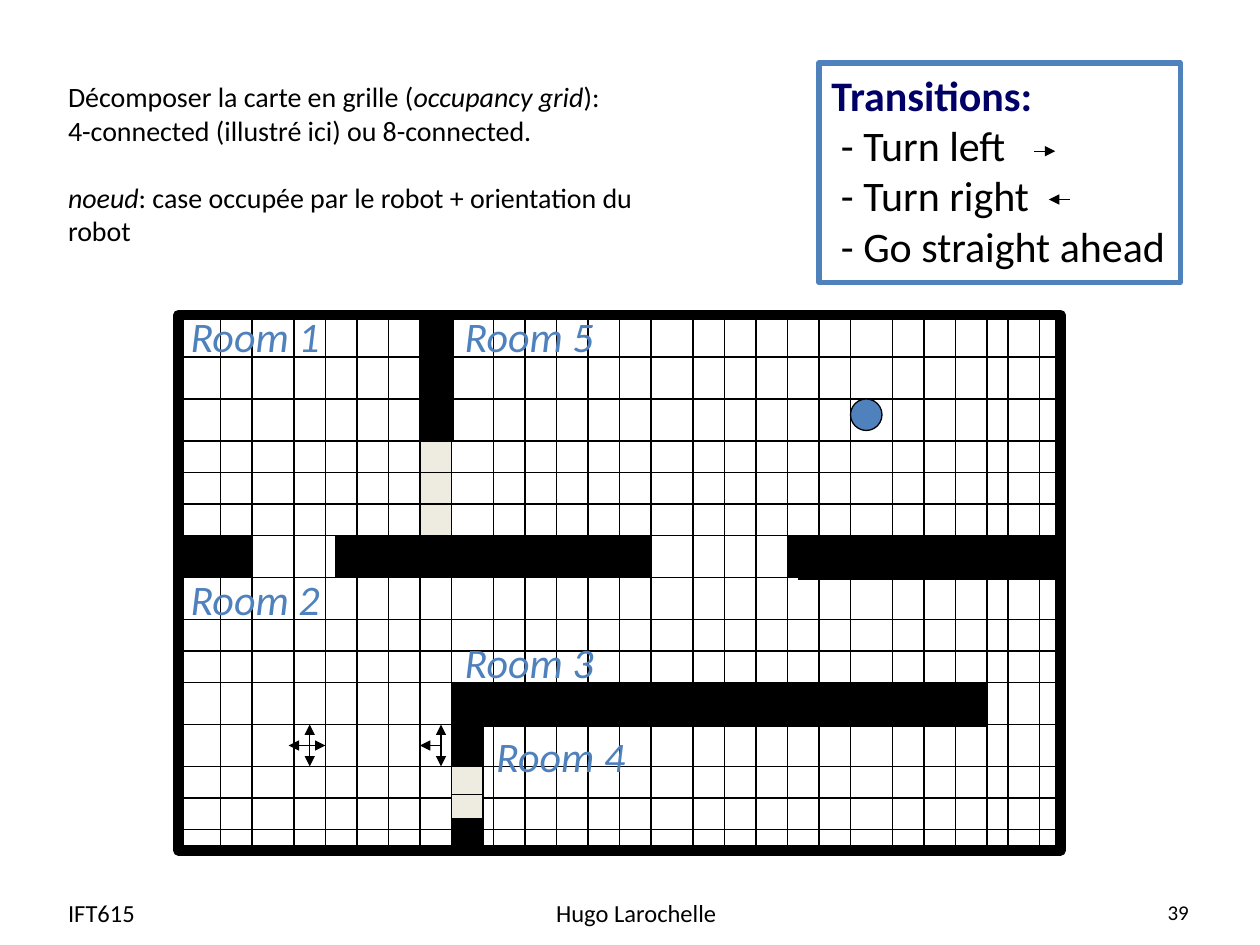
from itertools import accumulate

from lxml.etree import SubElement
from pptx import Presentation
from pptx.dml.color import RGBColor
from pptx.enum.shapes import MSO_CONNECTOR, MSO_SHAPE as Shape
from pptx.enum.text import MSO_ANCHOR as Anchor, MSO_AUTO_SIZE as AutoSize, PP_ALIGN as Align
from pptx.oxml.ns import qn
from pptx.util import Emu, Pt

PX = 7620
BLACK = RGBColor(0x00, 0x00, 0x00)
NAVY = RGBColor(0x00, 0x00, 0x66)
BLUE = RGBColor(0x4F, 0x81, 0xBD)
CREAM = RGBColor(0xEE, 0xEC, 0xE1)

LEFT, TOP, RIGHT, BOTTOM = 170, 300, 1010, 810
COLUMNS = [40, 30, 40, 30, 30, 30, 30, 30, 40, 30, 30, 30, 30,
           30, 40, 30, 30, 30, 30, 30, 40, 30, 30, 30, 20, 30]
ROWS = [40, 40, 40, 30, 30, 30, 40, 40, 30, 30, 40, 40, 30, 30]
THICK_WALLS = [(430, 300, 430, 420), (1010, 550, 760, 550), (430, 690, 940, 690)]
WALL_ROWS = [
    (170, 510, [40, 30]),
    (320, 510, [30, 40, 40, 30, 40, 40, 30, 50]),
    (750, 510, [40, 30, 40, 40, 30, 40, 40]),
    (430, 650, [40, 30, 40, 40, 30, 40, 40, 30, 40, 40, 30, 50, 60]),
]
WALL_COLUMN = [(400, TOP + 40 * step, 30, 40) for step in range(3)]
WALL_ENDS = [(430, 690, 30, 40), (430, 780, 30, 30)]
DOORS = [(400, 420, 30, 40), (400, 450, 30, 40), (400, 480, 30, 30),
         (430, 730, 30, 30), (430, 757, 30, 23)]
DOWN, UP, WEST, EAST = (0, -10, 0, 20), (0, 0, 0, -20), (0, 0, -20, 0), (0, 0, 15, 0)
ROBOT_MOVES = [(420, 710, [DOWN, UP, WEST]), (295, 710, [DOWN, UP, WEST, EAST])]
ROOMS = [("Room 1", 164, 290), ("Room 5", 425, 290), ("Room 2", 164, 540),
         ("Room 4", 455, 690), ("Room 3", 425, 600)]


class Board:
    """Draws styled elements on the current slide or group."""

    font = "Calibri"
    hairline = 0.75

    def __init__(self, slide):
        self.slide = slide
        self.target = slide.shapes

    def start_group(self):
        self.target = self.slide.shapes.add_group_shape().shapes

    def end_group(self):
        self.target = self.slide.shapes

    def scale(self, *lengths):
        return [Emu(length * PX) for length in lengths]

    def shape(self, kind, box, fill=None, line=BLACK, weight=hairline):
        item = self.target.add_shape(kind, *self.scale(*box))
        item.shadow.inherit = False
        if fill is None:
            item.fill.background()
        else:
            item.fill.solid()
            item.fill.fore_color.rgb = fill
        item.line.color.rgb = line
        item.line.width = Pt(weight)
        return item

    def line(self, ends, weight=hairline, arrow=False):
        item = self.target.add_connector(MSO_CONNECTOR.STRAIGHT, *self.scale(*ends))
        item.line.color.rgb = BLACK
        item.line.width = Pt(weight)
        properties = item._element.spPr
        if arrow:
            SubElement(properties.find(qn("a:ln")), qn("a:tailEnd"), type="triangle")
        SubElement(properties, qn("a:effectLst"))
        return item

    def fill_text(self, frame, paragraphs, size, color=BLACK, align=Align.LEFT, gaps=None, **frame_format):
        for name, value in frame_format.items():
            setattr(frame, name, value)
        for index, runs in enumerate(paragraphs):
            paragraph = frame.paragraphs[0] if index == 0 else frame.add_paragraph()
            paragraph.alignment = align
            paragraph.space_before = Pt((gaps or {}).get(index, 0))
            for words, changes in runs:
                run = paragraph.add_run()
                run.text = words
                look = {"name": self.font, "size": Pt(size), "bold": False, "italic": False}
                look.update(changes)
                run.font.color.rgb = look.pop("color", color)
                for name, value in look.items():
                    setattr(run.font, name, value)

    def text(self, box, paragraphs, size, **format_values):
        frame = self.target.add_textbox(*self.scale(*box)).text_frame
        self.fill_text(frame, paragraphs, size, **format_values)


def draw_map(board):
    board.start_group()
    frame = board.shape(Shape.RECTANGLE, (LEFT, TOP, RIGHT - LEFT, BOTTOM - TOP), weight=6)
    for wall in THICK_WALLS:
        board.line(wall, weight=3)
    for x in list(accumulate(COLUMNS, initial=LEFT))[1:]:
        grid_line = board.line((x, TOP, x, BOTTOM))
        if 2 * x == LEFT + RIGHT:
            grid_line.begin_connect(frame, 0)
            grid_line.end_connect(frame, 2)
    for y in list(accumulate(ROWS, initial=TOP))[1:]:
        board.line((LEFT, y, RIGHT, y))

    row_cells = [(x, top, width, 40) for left, top, widths in WALL_ROWS
                 for x, width in zip(accumulate(widths, initial=left), widths)]
    for cell in WALL_COLUMN + row_cells + WALL_ENDS:
        board.shape(Shape.RECTANGLE, cell, fill=BLACK)
    for x, y, moves in ROBOT_MOVES:
        for x1, y1, x2, y2 in moves:
            board.line((x + x1, y + y1, x + x2, y + y2), arrow=True)
    for door in DOORS:
        board.shape(Shape.RECTANGLE, door, fill=CREAM)
    for room, x, y in ROOMS:
        board.text((x, y, 158, 61), [[(room, {"italic": True})]], 24, color=BLUE,
                   align=Align.CENTER, word_wrap=False, auto_size=AutoSize.SHAPE_TO_FIT_TEXT)
    board.shape(Shape.OVAL, (810, 380, 30, 30), fill=BLUE)
    board.end_group()


def main():
    deck = Presentation()
    deck.slide_width, deck.slide_height = Emu(1200 * PX), Emu(900 * PX)
    board = Board(deck.slides.add_slide(deck.slide_layouts[6]))

    italic = {"italic": True}
    board.text((53, 56, 614, 200), [
        [("Décomposer la carte en grille (", {}), ("occupancy grid", italic), ("):", {})],
        [("4-connected (illustré ici) ou 8-connected.", {})],
        [("noeud", italic), (": case occupée par le robot + orientation du robot", {})],
    ], 16, gaps={2: 19}, word_wrap=True, vertical_anchor=Anchor.MIDDLE)

    transitions = board.shape(Shape.RECTANGLE, (780, 60, 344, 209), line=BLUE, weight=3)
    board.fill_text(transitions.text_frame, [
        [("Transitions:", {"bold": True, "color": NAVY})],
        [(" - Turn left", {})],
        [(" - Turn right", {})],
        [(" - Go straight ahead", {})],
    ], 24, word_wrap=False, auto_size=AutoSize.SHAPE_TO_FIT_TEXT, vertical_anchor=Anchor.TOP)

    draw_map(board)
    for turn in [(985, 144, 1005, 144), (1019, 190, 999, 190)]:
        board.line(turn, arrow=True)

    for words, left, width, size, align in [
        ("IFT615", 53, 232, 14, Align.LEFT),
        ("39", 864, 280, 12, Align.RIGHT),
        ("Hugo Larochelle", 416, 380, 14, Align.CENTER),
    ]:
        board.text((left, 845, width, 48), [[(words, {})]], size, align=align,
                   word_wrap=True, vertical_anchor=Anchor.MIDDLE)
    deck.save("out.pptx")


if __name__ == "__main__":
    main()
